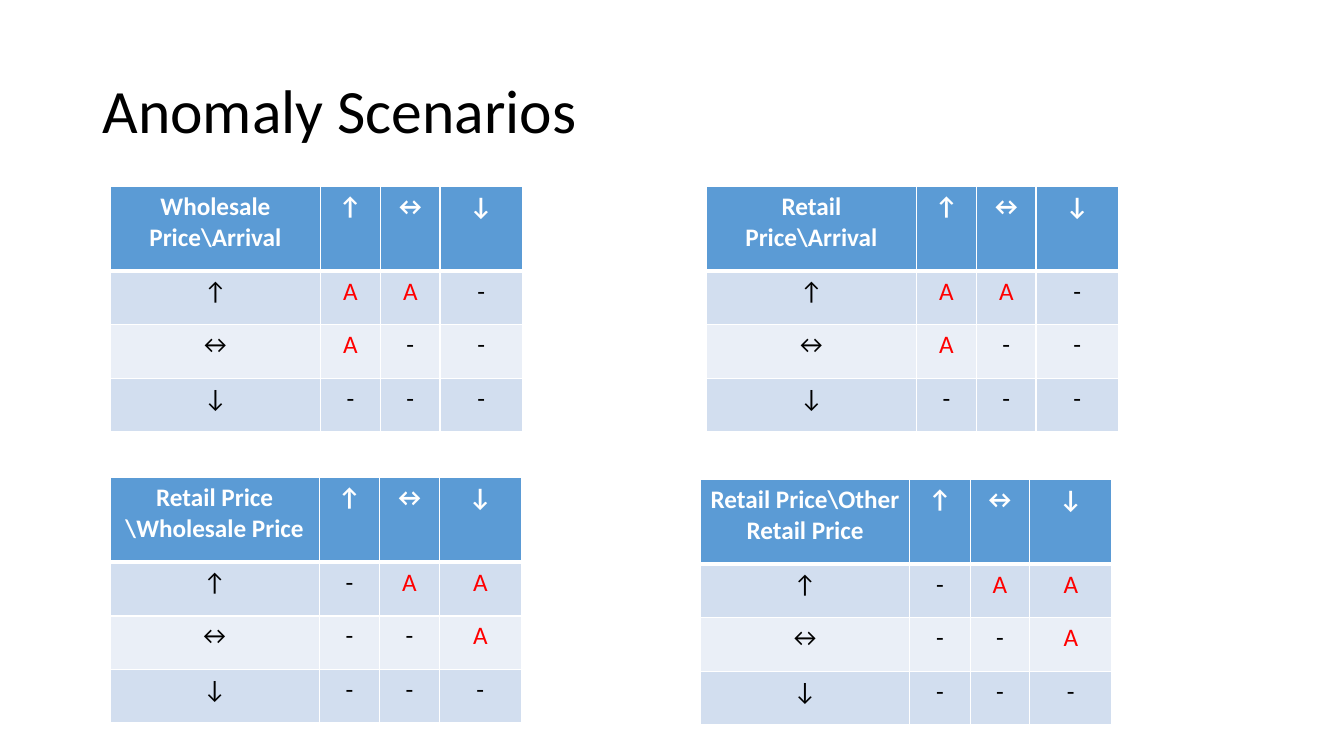
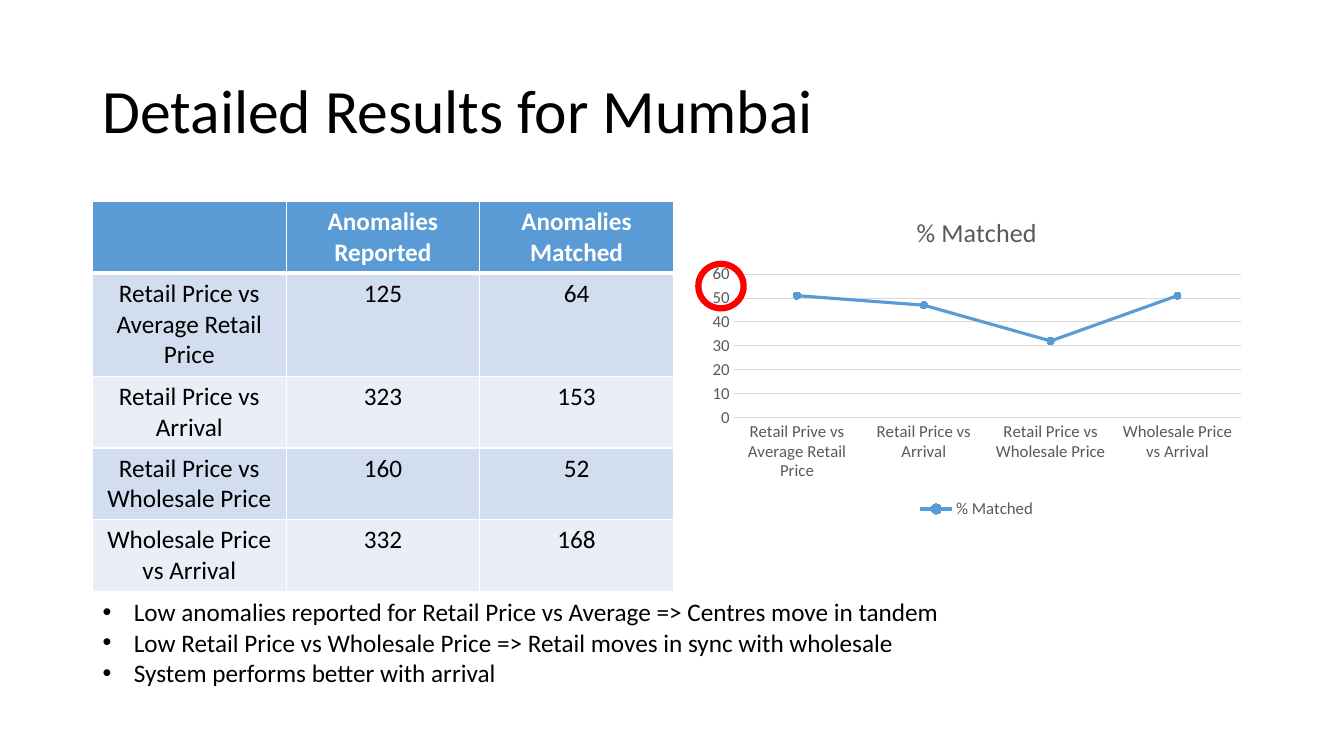
from dataclasses import dataclass
from typing import Any

from lxml.etree import SubElement
from pptx import Presentation
from pptx.chart.data import CategoryChartData
from pptx.dml.color import RGBColor
from pptx.enum.chart import XL_CHART_TYPE, XL_LEGEND_POSITION, XL_MARKER_STYLE, XL_TICK_MARK
from pptx.enum.shapes import MSO_SHAPE
from pptx.enum.text import MSO_ANCHOR, MSO_AUTO_SIZE, PP_ALIGN
from pptx.oxml.ns import qn
from pptx.util import Cm, Pt


@dataclass(frozen=True)
class Theme:
    font: str = "Calibri"
    white: str = "FFFFFF"
    text: str = "000000"
    accent: str = "5B9BD5"
    bands: tuple[str, str] = ("D2DEEF", "EAEFF7")
    alert: str = "FF0000"
    chart_text: str = "595959"
    grid: str = "D9D9D9"
    title_size: float = 44
    body_size: float = 18
    chart_title_size: float = 18.6
    chart_size: float = 12


@dataclass(frozen=True)
class Box:
    left: float
    top: float
    width: float
    height: float

    def lengths(self) -> tuple[Cm, Cm, Cm, Cm]:
        return Cm(self.left), Cm(self.top), Cm(self.width), Cm(self.height)


@dataclass(frozen=True)
class TableSpec:
    left: float
    top: float
    columns: tuple[float, ...]
    rows: tuple[float, ...]
    cells: list[list[str]]


@dataclass(frozen=True)
class Scenario:
    left: float
    top: float
    heading: str
    outcomes: tuple[str, str, str]


THEME = Theme()
TITLE_BOX = Box(2.33, 1.01, 29.21, 3.68)
LIST_BOX = Box(2.33, 14.91, 21.84, 2.57)
CHART_BOX = Box(17.68, 4.98, 13.87, 8.2)
HIGHLIGHT_BOX = Box(17.6, 6.65, 1.14, 1.12)
THIN_BORDER, HEADER_BORDER = 1, 3

ARROWS = ("↑", "↔", "↓")
SCENARIO_COLUMNS = (5.28, 1.52, 1.5, 2.07)
SCENARIO_ROWS = (2.13, 1.35, 1.35, 1.35)
ARRIVAL_OUTCOMES = ("AA-", "A--", "---")
PRICE_OUTCOMES = ("-AA", "--A", "---")
SCENARIOS = (
    Scenario(2.79, 4.7, "Wholesale Price\\Arrival", ARRIVAL_OUTCOMES),
    Scenario(17.81, 4.7, "Retail Price\\Arrival", ARRIVAL_OUTCOMES),
    Scenario(2.77, 12.04, "Retail Price\n\\Wholesale Price", PRICE_OUTCOMES),
    Scenario(17.65, 12.09, "Retail Price\\Other Retail Price", PRICE_OUTCOMES),
)

RESULTS = TableSpec(
    2.33, 5.08, (4.88,) * 3, (1.78, 2.6, 1.8, 1.8, 1.8),
    [
        ["", "Anomalies\nReported", "Anomalies\nMatched"],
        ["Retail Price vs Average Retail Price", "125", "64"],
        ["Retail Price vs Arrival", "323", "153"],
        ["Retail Price vs Wholesale Price", "160", "52"],
        ["Wholesale Price vs Arrival", "332", "168"],
    ],
)
MATCHED = {
    "Retail Prive vs Average Retail Price": 51,
    "Retail Price vs Arrival": 47,
    "Retail Price vs Wholesale Price": 32,
    "Wholesale Price vs Arrival": 51,
}
FINDINGS = (
    "Low anomalies reported for Retail Price vs Average => Centres move in tandem",
    "Low Retail Price vs Wholesale Price => Retail moves in sync with wholesale",
    "System performs better with arrival",
)


def assign(target: Any, formats: dict[str, Any]) -> None:
    for name, value in formats.items():
        setattr(target, name, value)


def format_font(font: Any, size: float, color: str, bold: bool = False) -> None:
    assign(font, {"name": THEME.font, "size": Pt(size), "bold": bold})
    font.color.rgb = RGBColor.from_string(color)


def format_line(line: Any, color: str, width: float) -> None:
    line.color.rgb = RGBColor.from_string(color)
    line.width = Pt(width)


def fill_solid(fill: Any, color: str) -> None:
    fill.solid()
    fill.fore_color.rgb = RGBColor.from_string(color)


def place(shape: Any, box: Box) -> None:
    assign(shape, dict(zip(("left", "top", "width", "height"), box.lengths())))


def add_titled_slide(presentation: Any, layout: int, title: str) -> Any:
    slide = presentation.slides.add_slide(presentation.slide_layouts[layout])
    shape = slide.shapes.title
    place(shape, TITLE_BOX)
    frame = shape.text_frame
    frame.text = title
    assign(frame, {"vertical_anchor": MSO_ANCHOR.MIDDLE, "auto_size": MSO_AUTO_SIZE.NONE, "word_wrap": True})
    paragraph = frame.paragraphs[0]
    assign(paragraph, {"alignment": PP_ALIGN.LEFT, "line_spacing": 0.9})
    format_font(paragraph.font, THEME.title_size, THEME.text)
    return slide


def add_cell_borders(cell: Any, row: int) -> None:
    properties = cell._tc.get_or_add_tcPr()
    widths = {
        "a:lnL": THIN_BORDER,
        "a:lnR": THIN_BORDER,
        "a:lnT": HEADER_BORDER if row == 1 else THIN_BORDER,
        "a:lnB": HEADER_BORDER if row == 0 else THIN_BORDER,
    }
    for tag, width in widths.items():
        border = SubElement(properties, qn(tag), w=str(Pt(width)))
        fill = SubElement(border, qn("a:solidFill"))
        SubElement(fill, qn("a:srgbClr"), val=THEME.white)


def format_cell(cell: Any, row: int, text: str) -> None:
    header = row == 0
    color = THEME.white if header else THEME.alert if text == "A" else THEME.text
    add_cell_borders(cell, row)
    fill_solid(cell.fill, THEME.accent if header else THEME.bands[(row - 1) % 2])
    cell.text_frame.text = text
    for paragraph in cell.text_frame.paragraphs:
        paragraph.alignment = PP_ALIGN.CENTER
        format_font(paragraph.font, THEME.body_size, color, header)


def add_data_table(slide: Any, spec: TableSpec) -> None:
    box = Box(spec.left, spec.top, sum(spec.columns), sum(spec.rows))
    table = slide.shapes.add_table(len(spec.rows), len(spec.columns), *box.lengths()).table
    for column, width in zip(table.columns, spec.columns):
        column.width = Cm(width)
    for row, height in zip(table.rows, spec.rows):
        row.height = Cm(height)
    for row_index, texts in enumerate(spec.cells):
        for column_index, text in enumerate(texts):
            format_cell(table.cell(row_index, column_index), row_index, text)


def add_scenario(slide: Any, scenario: Scenario) -> None:
    cells = [[scenario.heading, *ARROWS]]
    cells += [[arrow, *outcome] for arrow, outcome in zip(ARROWS, scenario.outcomes)]
    add_data_table(slide, TableSpec(scenario.left, scenario.top, SCENARIO_COLUMNS, SCENARIO_ROWS, cells))


def add_matched_chart(slide: Any) -> None:
    data = CategoryChartData()
    data.categories = list(MATCHED)
    data.add_series("% Matched", list(MATCHED.values()))
    chart = slide.shapes.add_chart(XL_CHART_TYPE.LINE_MARKERS, *CHART_BOX.lengths(), data).chart
    format_font(chart.font, THEME.chart_size, THEME.chart_text)
    assign(chart, {"has_title": True, "has_legend": True})
    title = chart.chart_title.text_frame
    title.text = "% Matched"
    format_font(title.paragraphs[0].runs[0].font, THEME.chart_title_size, THEME.chart_text)
    assign(chart.legend, {"position": XL_LEGEND_POSITION.BOTTOM, "include_in_layout": False})
    format_font(chart.legend.font, THEME.chart_size, THEME.chart_text)
    for axis in (chart.category_axis, chart.value_axis):
        assign(axis, {"major_tick_mark": XL_TICK_MARK.NONE, "minor_tick_mark": XL_TICK_MARK.NONE})
        format_font(axis.tick_labels.font, THEME.chart_size, THEME.chart_text)
    format_line(chart.category_axis.format.line, THEME.grid, 0.75)
    assign(chart.value_axis, {"minimum_scale": 0, "maximum_scale": 60, "major_unit": 10})
    chart.value_axis.format.line.fill.background()
    format_line(chart.value_axis.major_gridlines.format.line, THEME.grid, 0.75)
    plot = chart.plots[0]
    plot.vary_by_categories = False
    series = plot.series[0]
    series.smooth = False
    format_line(series.format.line, THEME.accent, 2.25)
    assign(series.marker, {"style": XL_MARKER_STYLE.CIRCLE, "size": 5})
    fill_solid(series.marker.format.fill, THEME.accent)
    format_line(series.marker.format.line, THEME.accent, 0.75)


def add_findings(slide: Any) -> None:
    body = slide.placeholders[1]
    place(body, LIST_BOX)
    frame = body.text_frame
    frame.text = "\n".join(FINDINGS)
    assign(frame, {"vertical_anchor": MSO_ANCHOR.TOP, "auto_size": MSO_AUTO_SIZE.NONE, "word_wrap": True})
    for paragraph in frame.paragraphs:
        assign(paragraph, {"alignment": PP_ALIGN.LEFT, "line_spacing": 1.0, "space_before": Pt(0)})
        format_font(paragraph.font, THEME.body_size, THEME.text)
        properties = paragraph._p.get_or_add_pPr()
        properties.set("marL", str(Cm(0.79)))
        properties.set("indent", str(-Cm(0.79)))


def add_highlight(slide: Any) -> None:
    circle = slide.shapes.add_shape(MSO_SHAPE.OVAL, *HIGHLIGHT_BOX.lengths())
    circle.shadow.inherit = False
    circle.fill.background()
    format_line(circle.line, THEME.alert, 4.5)


def main() -> None:
    presentation = Presentation()
    assign(presentation, {"slide_width": Cm(33.87), "slide_height": Cm(19.05)})

    scenarios_slide = add_titled_slide(presentation, 5, "Anomaly Scenarios")
    for scenario in SCENARIOS:
        add_scenario(scenarios_slide, scenario)

    results_slide = add_titled_slide(presentation, 1, "Detailed Results for Mumbai")
    add_matched_chart(results_slide)
    add_data_table(results_slide, RESULTS)
    add_findings(results_slide)
    add_highlight(results_slide)

    presentation.save("out.pptx")


if __name__ == "__main__":
    main()
